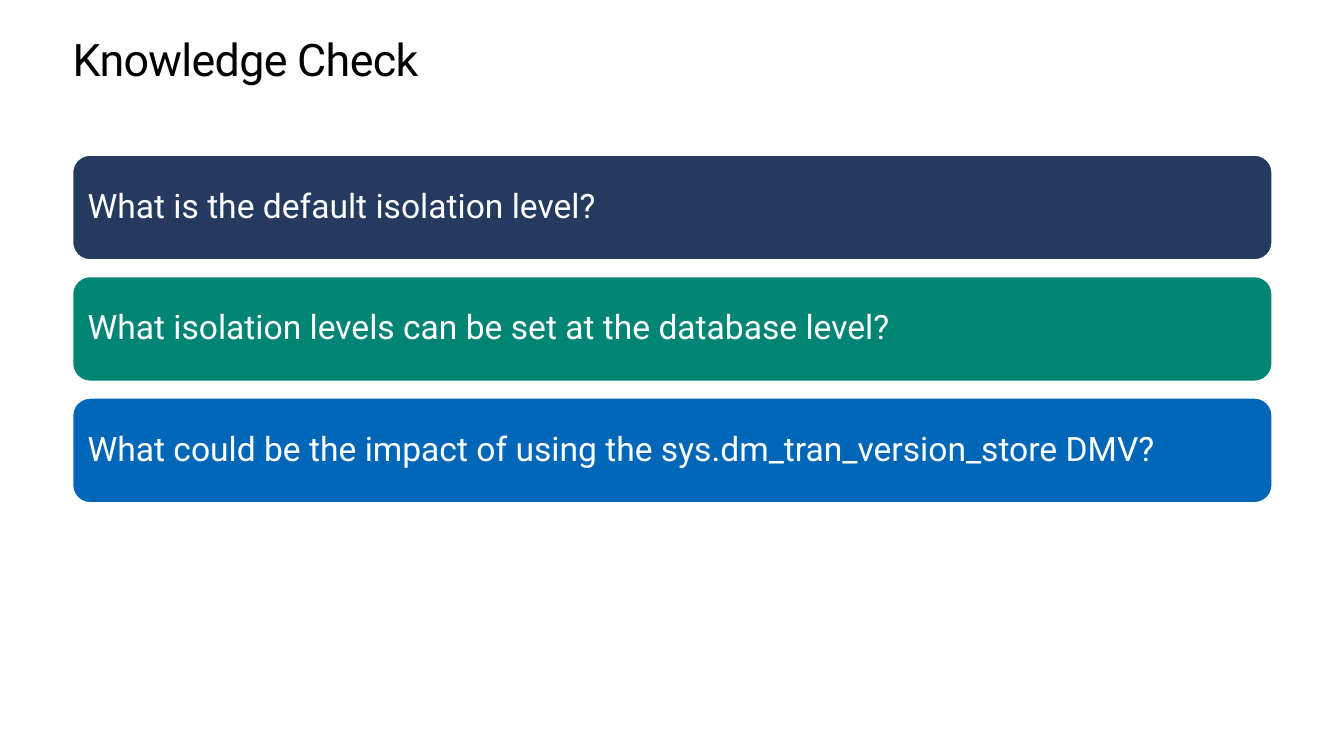
from pptx import Presentation
from pptx.dml.color import RGBColor
from pptx.enum.shapes import MSO_SHAPE
from pptx.enum.text import MSO_ANCHOR, PP_ALIGN
from pptx.util import Cm, Pt

BLACK = RGBColor(0x00, 0x00, 0x00)
WHITE = RGBColor(0xFF, 0xFF, 0xFF)
NAVY = RGBColor(0x24, 0x3A, 0x5E)
GREEN = RGBColor(0x00, 0x85, 0x75)
BLUE = RGBColor(0x00, 0x67, 0xB8)

LEFT, WIDTH = Cm(1.83), Cm(30.23)
FIRST_TOP, BAR_HEIGHT, BAR_STEP = Cm(3.91), Cm(2.64), Cm(3.06)

QUESTIONS = [
    ("What is the default isolation level?", NAVY),
    ("What isolation levels can be set at the database level?", GREEN),
    ("What could be the impact of using the sys.dm_tran_version_store DMV?", BLUE),
]


def write_text(frame, text, *, size, color, line_spacing, inset=0,
               anchor=MSO_ANCHOR.TOP, tracking=None):
    frame.word_wrap = True
    frame.vertical_anchor = anchor
    frame.margin_left = frame.margin_right = inset
    frame.margin_top = frame.margin_bottom = inset
    paragraph = frame.paragraphs[0]
    paragraph.alignment = PP_ALIGN.LEFT
    paragraph.line_spacing = line_spacing
    run = paragraph.add_run()
    run.text = text
    run.font.name = "Roboto"
    run.font.size = size
    run.font.color.rgb = color
    if tracking is not None:
        # Letter spacing in hundredths of a point
        run.font._element.set("spc", str(tracking))


def add_heading(slide, text):
    heading = slide.shapes.add_textbox(LEFT, Cm(0.89), WIDTH, Cm(1.27))
    write_text(heading.text_frame, text, size=Pt(32), color=BLACK,
               line_spacing=Pt(36.2), tracking=-50)


def add_question(slide, top, text, fill):
    bar = slide.shapes.add_shape(MSO_SHAPE.ROUNDED_RECTANGLE,
                                 LEFT, top, WIDTH, BAR_HEIGHT)
    bar.shadow.inherit = False
    bar.fill.solid()
    bar.fill.fore_color.rgb = fill
    bar.line.color.rgb = WHITE
    bar.line.width = Pt(1)
    write_text(bar.text_frame, text, size=Pt(24), color=WHITE,
               line_spacing=0.9, inset=Cm(0.25), anchor=MSO_ANCHOR.MIDDLE)


def main():
    deck = Presentation()
    deck.slide_width, deck.slide_height = Cm(33.87), Cm(19.05)
    slide = deck.slides.add_slide(deck.slide_layouts[6])

    # Heading
    add_heading(slide, "Knowledge Check")

    # Question bars, evenly stacked
    for row, (question, fill) in enumerate(QUESTIONS):
        add_question(slide, FIRST_TOP + row * BAR_STEP, question, fill)

    deck.save("out.pptx")


if __name__ == "__main__":
    main()
